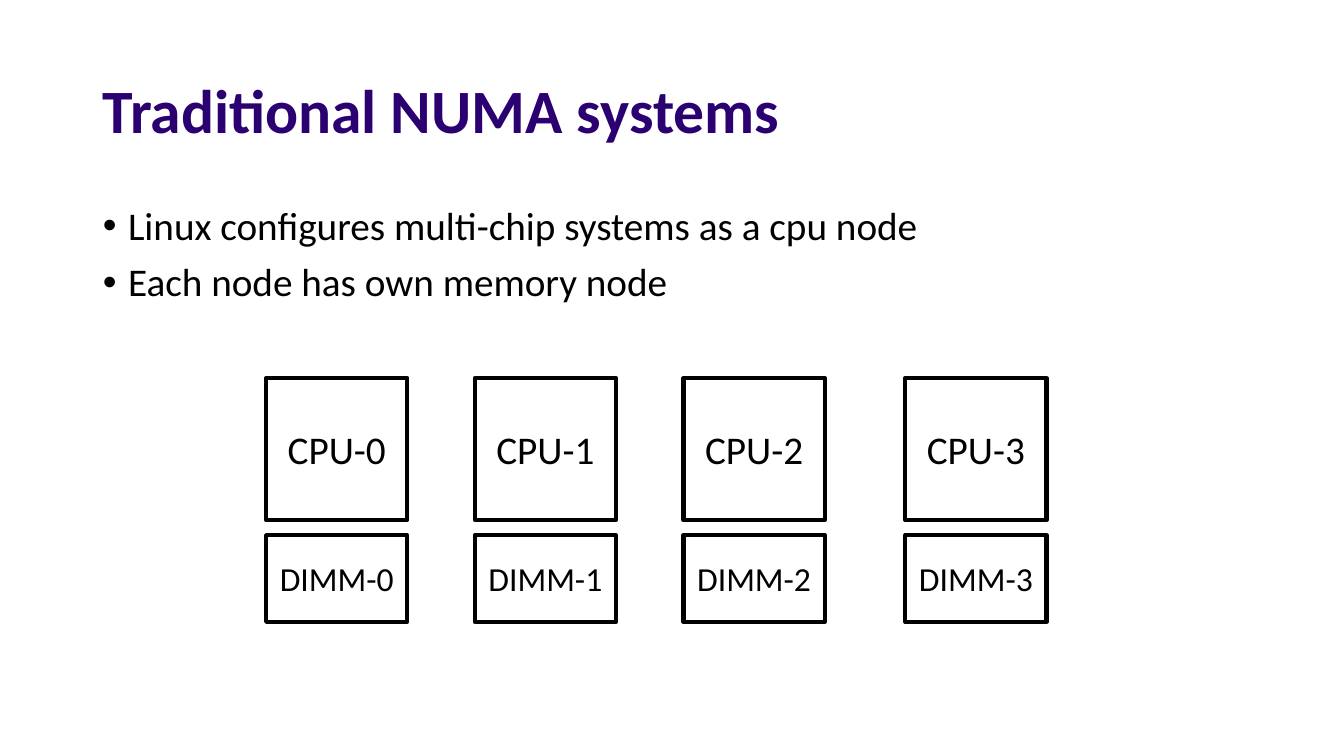
import pptx
import pptx.dml.color
import pptx.enum.shapes
import pptx.enum.text
import pptx.oxml.ns
import pptx.util
from lxml import etree

Inches = pptx.util.Inches
Pt = pptx.util.Pt
RGBColor = pptx.dml.color.RGBColor
ALIGN = pptx.enum.text.PP_ALIGN
ANCHOR = pptx.enum.text.MSO_ANCHOR

PURPLE = RGBColor(0x2B, 0x00, 0x71)
BLACK = RGBColor(0x00, 0x00, 0x00)
WHITE = RGBColor(0xFF, 0xFF, 0xFF)
FONT = "Calibri"


def add_bullet(paragraph):
    properties = paragraph._p.get_or_add_pPr()
    properties.set("marL", str(Inches(0.25)))
    properties.set("indent", str(-Inches(0.25)))
    etree.SubElement(properties, pptx.oxml.ns.qn("a:buFont"), typeface="Arial")
    etree.SubElement(properties, pptx.oxml.ns.qn("a:buChar"), char="•")


def write_text(holder, lines, size, color=BLACK, bold=False, align=ALIGN.LEFT,
               anchor=ANCHOR.MIDDLE, line_spacing=1.0, space_before=0, bullet=False):
    frame = holder.text_frame
    frame.word_wrap = True
    frame.auto_size = pptx.enum.text.MSO_AUTO_SIZE.NONE
    frame.vertical_anchor = anchor
    for index, line in enumerate(lines):
        paragraph = frame.add_paragraph() if index else frame.paragraphs[0]
        paragraph.text = line
        if bullet:
            add_bullet(paragraph)
        paragraph.alignment = align
        paragraph.line_spacing = line_spacing
        paragraph.space_before = Pt(space_before if index else 0)
        paragraph.font.name = FONT
        paragraph.font.size = Pt(size)
        paragraph.font.bold = bold
        paragraph.font.color.rgb = color


def place(holder, left, top, width, height):
    holder.left, holder.top = Inches(left), Inches(top)
    holder.width, holder.height = Inches(width), Inches(height)


def add_heading(slide, left, top, width, height):
    heading = slide.shapes.title
    place(heading, left, top, width, height)
    write_text(heading, ["Traditional NUMA systems"], size=44, color=PURPLE,
               bold=True, line_spacing=0.9)


def add_points(slide, left, top, width, height):
    points = slide.placeholders[1]
    place(points, left, top, width, height)
    write_text(points, ["Linux configures multi-chip systems as a cpu node",
                        "Each node has own memory node"],
               size=28, anchor=ANCHOR.TOP, line_spacing=0.9,
               space_before=10, bullet=True)


def add_block(slide, label, size, left, top, width, height):
    block = slide.shapes.add_shape(pptx.enum.shapes.MSO_SHAPE.RECTANGLE,
                                   Inches(left), Inches(top),
                                   Inches(width), Inches(height))
    block.shadow.inherit = False
    block.fill.solid()
    block.fill.fore_color.rgb = WHITE
    block.line.color.rgb = BLACK
    block.line.width = Pt(3)
    write_text(block, [label], size=size, align=ALIGN.CENTER)


def add_node(slide, number, left, top, width, height):
    cpu_height, dimm_height = 1.41, 0.86
    add_block(slide, f"CPU-{number}", 28, left, top, width, cpu_height)
    add_block(slide, f"DIMM-{number}", 24, left, top + height - dimm_height,
              width, dimm_height)


def main():
    deck = pptx.Presentation()
    deck.slide_width, deck.slide_height = Inches(13.33), Inches(7.5)
    slide = deck.slides.add_slide(deck.slide_layouts[1])

    # Title and bullet list
    add_heading(slide, 0.92, 0.4, 11.5, 1.45)
    add_points(slide, 0.92, 2, 11.5, 4.76)

    # Each CPU above its own memory; the last node stands slightly apart
    for number, left in enumerate([2.64, 4.71, 6.78, 8.98]):
        add_node(slide, number, left, 3.75, 1.4, 2.42)

    deck.save("out.pptx")


if __name__ == "__main__":
    main()
